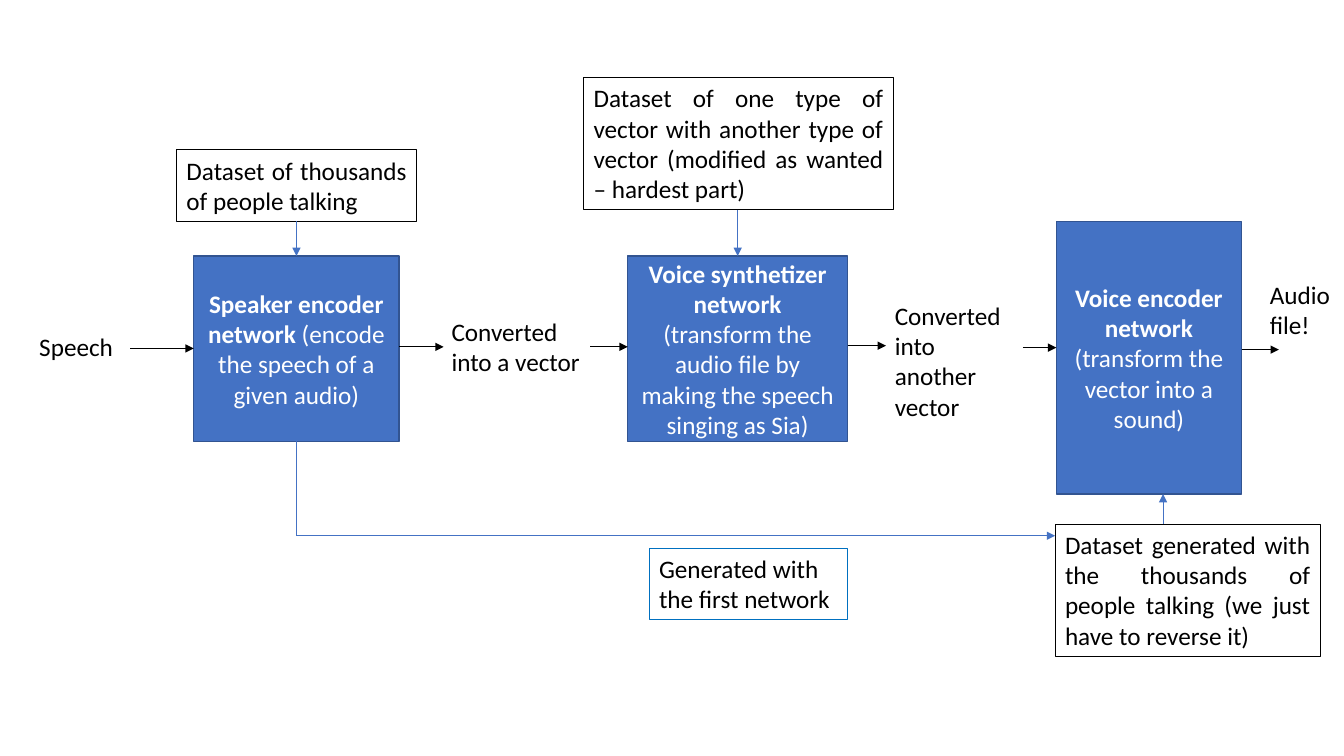
import pptx
import pptx.util
import pptx.dml.color
import pptx.enum.shapes
import pptx.enum.text
import pptx.oxml
import pptx.oxml.ns

Cm, Pt = pptx.util.Cm, pptx.util.Pt
ALIGN = pptx.enum.text.PP_ALIGN
ANCHOR = pptx.enum.text.MSO_ANCHOR

THEME = {
    "font": "Calibri", "size": 18,
    "text": "000000", "inverse": "FFFFFF",
    "network": "4472C4", "network_line": "325491",
    "note_line": "000000", "generated_line": "0070C0",
    "flow": "000000", "data": "4472C4",
    "network_width": 1, "note_width": 0.75, "arrow_width": 0.5,
}

# Content: boxes are (left, top, width, height) in cm
NETWORKS = {
    "encoder": ((4.88, 6.45, 5.18, 4.67), "Speaker encoder network",
                " (encode the speech of a given audio)"),
    "synthetizer": ((15.82, 6.45, 5.54, 4.67), "Voice synthetizer network",
                    " (transform the audio file by making the speech singing as Sia)"),
    "voice": ((26.62, 5.59, 4.67, 6.86), "Voice encoder network",
              " (transform the vector into a sound)"),
}
NOTES = {
    "encoder": ((4.45, 3.78, 6.05, 1.8), "Dataset of thousands of people talking",
                ALIGN.JUSTIFY, "note_line"),
    "synthetizer": ((14.71, 1.96, 7.8, 3.33),
                    "Dataset of one type of vector with another type of vector "
                    "(modified as wanted – hardest part)", ALIGN.JUSTIFY, "note_line"),
    "generated": ((16.36, 13.82, 5, 1.8), "Generated with the first network",
                  ALIGN.LEFT, "generated_line"),
    "voice": ((26.59, 13.21, 6.68, 3.33),
              "Dataset generated with the thousands of people talking "
              "(we just have to reverse it)", ALIGN.JUSTIFY, "note_line"),
}
LABELS = [
    ((0.74, 8.23, 2.51, 1.02), "Speech"),
    ((11.13, 7.85, 3.76, 1.8), "Converted into a vector"),
    ((22.3, 7.44, 3.58, 3.33), "Converted into another vector"),
    ((31.75, 6.91, 2.08, 1.8), "Audio file!"),
]
# Flow arrows into and out of each network: (network, length, y)
FLOW_IN = [("encoder", 1.6, 8.78), ("synthetizer", 0.94, 8.74), ("voice", 0.84, 8.76)]
FLOW_OUT = [("encoder", 1.12, 8.74), ("synthetizer", 0.97, 8.71), ("voice", 0.94, 8.81)]
LOOP_Y, LOOP_JOINT_X, VOICE_DATA_X = 13.5, 24.43, 29.31

prs = pptx.Presentation()
prs.slide_width, prs.slide_height = Cm(33.87), Cm(19.05)
slide = prs.slides.add_slide(prs.slide_layouts[6])


def rgb(name):
    return pptx.dml.color.RGBColor.from_string(THEME[name])


def write(sp, runs, color="text", align=ALIGN.LEFT, anchor=ANCHOR.TOP):
    tf = sp.text_frame
    tf.word_wrap = True
    tf.vertical_anchor = anchor
    p = tf.paragraphs[0]
    p.alignment = align
    p.font.name, p.font.size = THEME["font"], Pt(THEME["size"])
    p.font.color.rgb = rgb(color)
    for text, bold in runs:
        r = p.add_run()
        r.text = text
        if bold:
            r.font.bold = True


def add_box(box, line, width, fill=None):
    sp = slide.shapes.add_shape(pptx.enum.shapes.MSO_SHAPE.RECTANGLE, *map(Cm, box))
    sp.shadow.inherit = False
    if fill:
        sp.fill.solid()
        sp.fill.fore_color.rgb = rgb(fill)
    else:
        sp.fill.background()
    sp.line.color.rgb = rgb(line)
    sp.line.width = Pt(THEME[width])
    return sp


def add_line(start, end, color, arrow=True):
    line = slide.shapes.add_connector(
        pptx.enum.shapes.MSO_CONNECTOR.STRAIGHT, *map(Cm, start + end))
    line.line.color.rgb = rgb(color)
    line.line.width = Pt(THEME["arrow_width"])
    if arrow:
        tail = pptx.oxml.parse_xml(
            f'<a:tailEnd {pptx.oxml.ns.nsdecls("a")} type="triangle"/>')
        line.line._get_or_add_ln().append(tail)
    line._element.spPr.append(
        pptx.oxml.parse_xml(f'<a:effectLst {pptx.oxml.ns.nsdecls("a")}/>'))


# Networks
for box, title, detail in NETWORKS.values():
    sp = add_box(box, "network_line", "network_width", "network")
    write(sp, [(title, True), (detail, False)], "inverse", ALIGN.CENTER, ANCHOR.MIDDLE)

# Dataset notes
for box, text, align, line in NOTES.values():
    write(add_box(box, line, "note_width"), [(text, False)], align=align)

# Labels between the networks
for box, text in LABELS:
    write(slide.shapes.add_textbox(*map(Cm, box)), [(text, False)])

# Flow arrows
for name, length, y in FLOW_IN:
    left = NETWORKS[name][0][0]
    add_line((left - length, y), (left, y), "flow")
for name, length, y in FLOW_OUT:
    left, _, width, _ = NETWORKS[name][0]
    add_line((left + width, y), (left + width + length, y), "flow")

# Datasets feeding the networks
for name in ("encoder", "synthetizer"):
    left, top, width, _ = NETWORKS[name][0]
    _, note_top, _, note_height = NOTES[name][0]
    x = left + width / 2
    add_line((x, note_top + note_height), (x, top), "data")
_, top, _, height = NETWORKS["voice"][0]
note_left, note_top, _, _ = NOTES["voice"][0]
add_line((VOICE_DATA_X, note_top), (VOICE_DATA_X, top + height), "data")

# Loop from the speaker encoder to the generated dataset
left, top, width, height = NETWORKS["encoder"][0]
x = left + width / 2
add_line((x, LOOP_Y), (x, top + height), "data", arrow=False)
add_line((LOOP_JOINT_X, LOOP_Y), (x, LOOP_Y), "data", arrow=False)
add_line((LOOP_JOINT_X, LOOP_Y), (note_left, LOOP_Y), "data")

prs.save("out.pptx")
